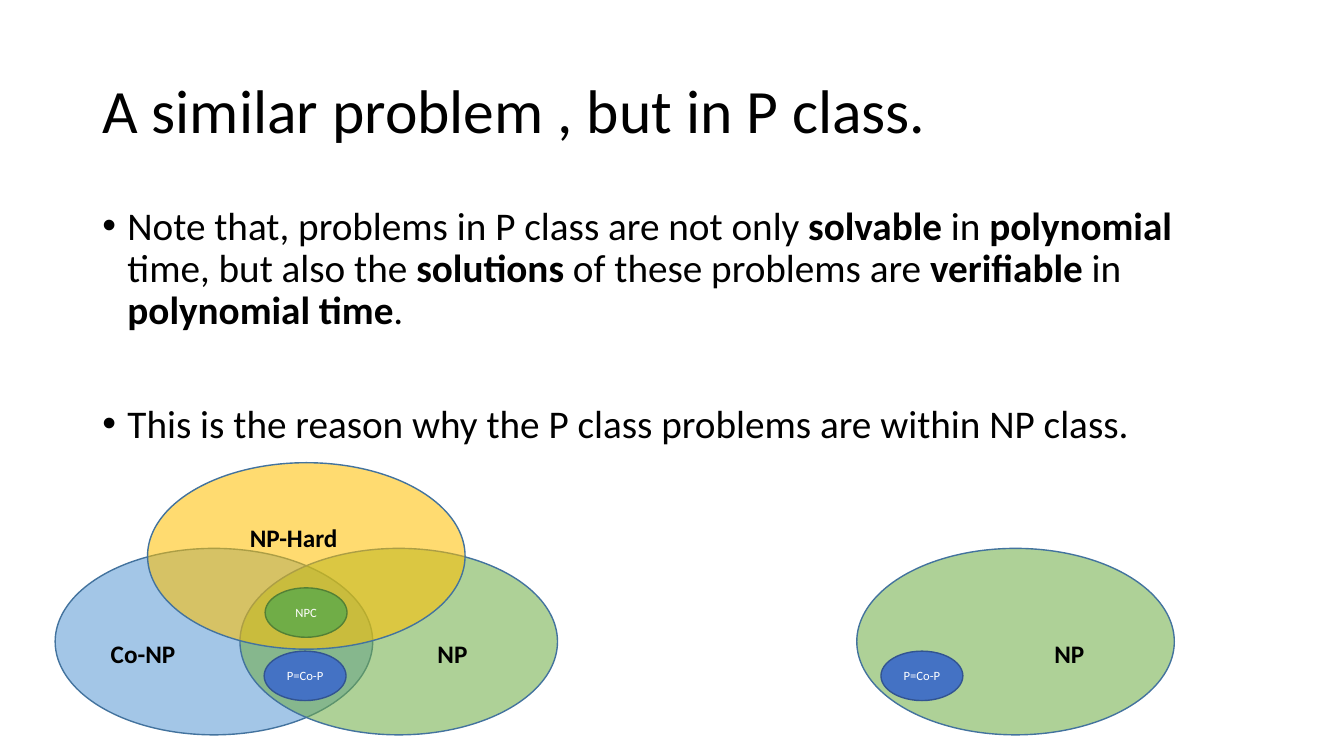
from lxml.etree import SubElement
from pptx import Presentation
from pptx.dml.color import RGBColor
from pptx.enum.shapes import MSO_SHAPE
from pptx.enum.text import MSO_ANCHOR, PP_ALIGN
from pptx.oxml.ns import qn
from pptx.util import Pt

BLACK = RGBColor(0x00, 0x00, 0x00)
WHITE = RGBColor(0xFF, 0xFF, 0xFF)
BLUE = RGBColor(0x5B, 0x9B, 0xD5)
GREEN = RGBColor(0x70, 0xAD, 0x47)
GOLD = RGBColor(0xFF, 0xC0, 0x00)
ROYAL = RGBColor(0x44, 0x72, 0xC4)
SET_EDGE = RGBColor(0x43, 0x73, 0x9E)
GREEN_EDGE = RGBColor(0x53, 0x80, 0x35)
ROYAL_EDGE = RGBColor(0x32, 0x54, 0x91)

FONT = "Calibri"
TITLE = "A similar problem , but in P class."
# Each bullet: space before, then (text, bold) runs
BULLETS = [
    (10, [("Note that, problems in P class are not only ", False),
          ("solvable", True), (" in ", False), ("polynomial", True),
          (" time, but also the ", False), ("solutions", True),
          (" of these problems are ", False), ("verifiable", True),
          (" in ", False), ("polynomial time", True), (".", False)]),
    (50.75, [("This is the reason why the P class problems are within NP class.", False)]),
]

MARGIN, TEXT_WIDTH = 66, 828
SET_SIZE = (226.8, 133.2)
CLASS_SIZE = (58.5, 35.3)
SET_TOP, HARD_TOP = 391.7, 330.5
LABEL_TOP, P_TOP, NPC_TOP = 452.2, 465.1, 419.9
CO_NP_LEFT, SET_STEP = 39.4, 66
NP_LEFT = CO_NP_LEFT + 2 * SET_STEP
LONE_NP_LEFT = 612
NP_LABEL_SHIFT, P_SHIFT = 134, 17.3

# left, top, fill
SETS = [
    (CO_NP_LEFT, SET_TOP, BLUE),
    (NP_LEFT, SET_TOP, GREEN),
    (CO_NP_LEFT + SET_STEP, HARD_TOP, GOLD),
    (LONE_NP_LEFT, SET_TOP, GREEN),
]
# text, left, top, width
LABELS = [
    ("Co-NP", 72, LABEL_TOP, 80.6),
    ("NP", NP_LEFT + NP_LABEL_SHIFT, LABEL_TOP, 47.5),
    ("NP-Hard", 171.4, 369.4, 103),
    ("NP", LONE_NP_LEFT + NP_LABEL_SHIFT, LABEL_TOP, 47.5),
]
# text, left, top, fill, edge
CLASSES = [
    ("NPC", 189.4, NPC_TOP, GREEN, GREEN_EDGE),
    ("P=Co-P", NP_LEFT + P_SHIFT, P_TOP, ROYAL, ROYAL_EDGE),
    ("P=Co-P", LONE_NP_LEFT + P_SHIFT, P_TOP, ROYAL, ROYAL_EDGE),
]


def add_run(paragraph, text, size, color=BLACK, bold=False):
    run = paragraph.add_run()
    run.text = text
    run.font.name = FONT
    run.font.size = Pt(size)
    run.font.bold = bold
    run.font.color.rgb = color


def add_text_frame(slide, left, top, width, height):
    box = slide.shapes.add_textbox(Pt(left), Pt(top), Pt(width), Pt(height))
    box.text_frame.word_wrap = True
    return box.text_frame


def add_ellipse(slide, left, top, size, fill, edge):
    ellipse = slide.shapes.add_shape(MSO_SHAPE.OVAL, Pt(left), Pt(top), *map(Pt, size))
    ellipse.shadow.inherit = False
    ellipse.fill.solid()
    ellipse.fill.fore_color.rgb = fill
    ellipse.line.color.rgb = edge
    ellipse.line.width = Pt(1)
    return ellipse


def set_opacity(shape, percent):
    color = shape.fill._xPr.find(qn("a:solidFill"))[0]
    SubElement(color, qn("a:alpha"), val=str(percent * 1000))


def set_bullet(paragraph, indent):
    properties = paragraph._p.get_or_add_pPr()
    properties.set("marL", str(Pt(indent)))
    properties.set("indent", str(-Pt(indent)))
    SubElement(properties, qn("a:buFont"), typeface="Arial")
    SubElement(properties, qn("a:buChar"), char="•")


def main():
    prs = Presentation()
    prs.slide_width, prs.slide_height = Pt(960), Pt(540)
    slide = prs.slides.add_slide(prs.slide_layouts[6])

    title = add_text_frame(slide, MARGIN, 28.75, TEXT_WIDTH, 104.4)
    title.vertical_anchor = MSO_ANCHOR.MIDDLE
    title.paragraphs[0].line_spacing = 0.9
    add_run(title.paragraphs[0], TITLE, 44)

    body = add_text_frame(slide, MARGIN, 143.75, TEXT_WIDTH, 342.6)
    for index, (space_before, runs) in enumerate(BULLETS):
        paragraph = body.add_paragraph() if index else body.paragraphs[0]
        paragraph.line_spacing = 0.9
        paragraph.space_before = Pt(space_before)
        set_bullet(paragraph, 18)
        for text, bold in runs:
            add_run(paragraph, text, 28, bold=bold)

    for left, top, fill in SETS:
        set_opacity(add_ellipse(slide, left, top, SET_SIZE, fill, SET_EDGE), 56)

    for text, left, top, width in LABELS:
        label = add_text_frame(slide, left, top, width, 22.3)
        add_run(label.paragraphs[0], text, 18, bold=True)

    for text, left, top, fill, edge in CLASSES:
        frame = add_ellipse(slide, left, top, CLASS_SIZE, fill, edge).text_frame
        frame.margin_left = frame.margin_right = 0
        frame.vertical_anchor = MSO_ANCHOR.MIDDLE
        frame.paragraphs[0].alignment = PP_ALIGN.CENTER
        add_run(frame.paragraphs[0], text, 9, WHITE)

    prs.save("out.pptx")


if __name__ == "__main__":
    main()
